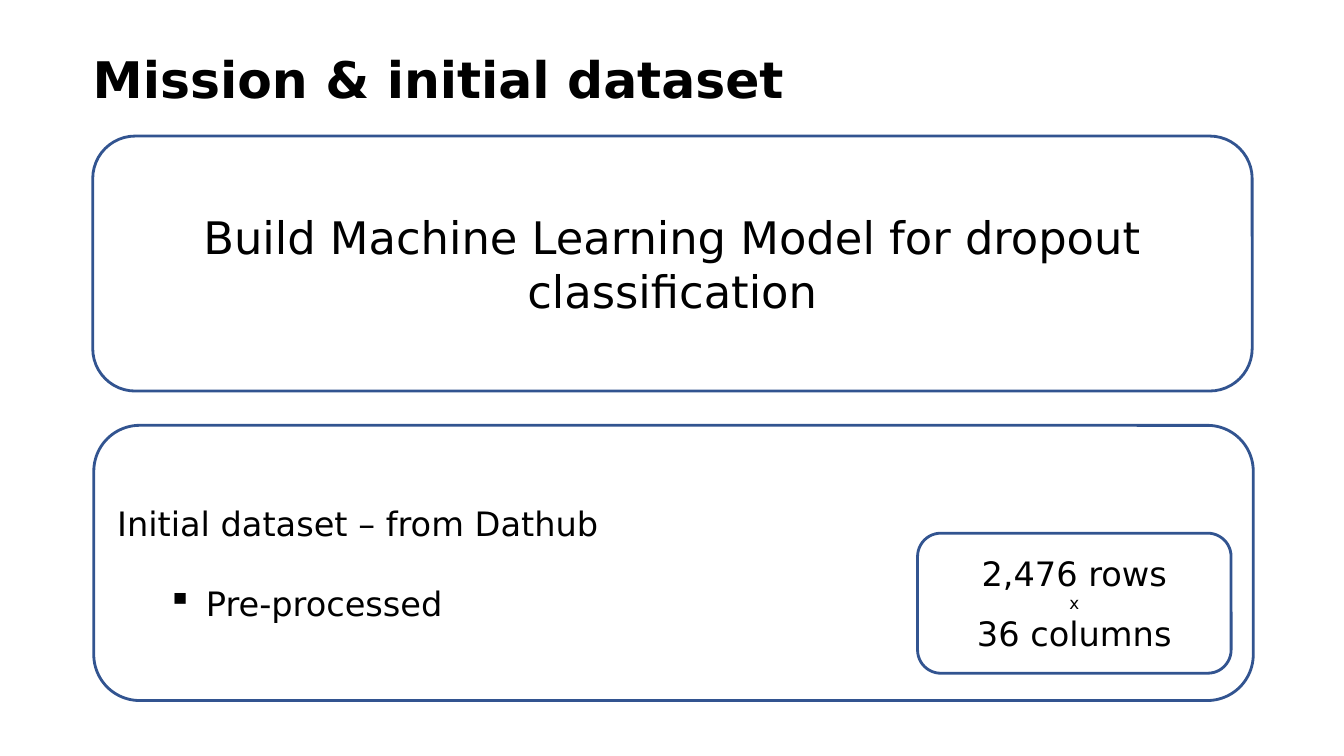
"""Builds the mission and initial dataset slide."""
from lxml import etree
from pptx import Presentation
from pptx.dml.color import RGBColor
from pptx.enum.shapes import MSO_SHAPE
from pptx.enum.text import MSO_ANCHOR, PP_ALIGN
from pptx.oxml.ns import qn
from pptx.util import Inches, Pt

ROUNDED = MSO_SHAPE.ROUNDED_RECTANGLE
MIDDLE = MSO_ANCHOR.MIDDLE
LEFT, CENTER = PP_ALIGN.LEFT, PP_ALIGN.CENTER
TITLE_ONLY = 5
COLORS = {"text": "000000", "outline": "325490"}
FONT = "DejaVu Sans"
MARGIN, CONTENT_WIDTH = 6.9, 86.27


class SlideBuilder:
    def __init__(self, presentation):
        self.slide = presentation.slides.add_slide(presentation.slide_layouts[TITLE_ONLY])
        self.column = presentation.slide_width / 100
        self.row = presentation.slide_height / 100

    def box(self, left, top, width, height):
        return (round(left * self.column), round(top * self.row),
                round(width * self.column), round(height * self.row))

    def color(self, name):
        return RGBColor.from_string(COLORS[name])

    def style(self, paragraph, size, align=LEFT, bold=False):
        paragraph.alignment = align
        font = paragraph.font
        font.name, font.size, font.bold = FONT, Pt(size), bold
        font.color.rgb = self.color("text")

    def title(self, text, *area):
        shape = self.slide.shapes.title
        shape.left, shape.top, shape.width, shape.height = self.box(*area)
        frame = shape.text_frame
        frame.text = text
        frame.vertical_anchor = MIDDLE
        frame.margin_left = frame.margin_right = frame.margin_top = frame.margin_bottom = 0
        self.style(frame.paragraphs[0], 36, bold=True)
        frame.paragraphs[0].line_spacing = 0.9

    def card(self, lines, *area, align=CENTER):
        shape = self.slide.shapes.add_shape(ROUNDED, *self.box(*area))
        shape.shadow.inherit = False
        shape.fill.background()
        shape.line.color.rgb = self.color("outline")
        shape.line.width = Pt(2)
        frame = shape.text_frame
        frame.word_wrap = True
        frame.vertical_anchor = MIDDLE
        frame.text = "\n".join(text for text, size in lines)
        for paragraph, (text, size) in zip(frame.paragraphs, lines):
            self.style(paragraph, size, align)
        return frame.paragraphs

    def bullet(self, paragraph, gap):
        paragraph.level = 1
        paragraph.space_before = Pt(gap)
        properties = paragraph._p.get_or_add_pPr()
        properties.set("marL", str(Inches(0.88)))
        properties.set("indent", str(Inches(-0.38)))
        marker = etree.Element(qn("a:buChar"), char="▪")
        properties.find(qn("a:defRPr")).addprevious(marker)


def main():
    presentation = Presentation()
    presentation.slide_width = Inches(13.33)
    presentation.slide_height = Inches(7.5)
    builder = SlideBuilder(presentation)
    builder.title("Mission & initial dataset", MARGIN, 5.33, CONTENT_WIDTH, 11.07)
    builder.card([("Build Machine Learning Model for dropout classification", 32)],
                 MARGIN, 18, CONTENT_WIDTH, 33.73)
    dataset = builder.card([("Initial dataset – from Dathub", 24), ("Pre-processed", 24)],
                           MARGIN + 0.08, 56.27, CONTENT_WIDTH, 36.4, align=LEFT)
    builder.bullet(dataset[1], gap=28)
    builder.card([("2,476 rows", 24), ("x", 12), ("36 columns", 24)],
                 68.27, 70.53, 23.33, 18.53)
    presentation.save("out.pptx")


if __name__ == "__main__":
    main()
